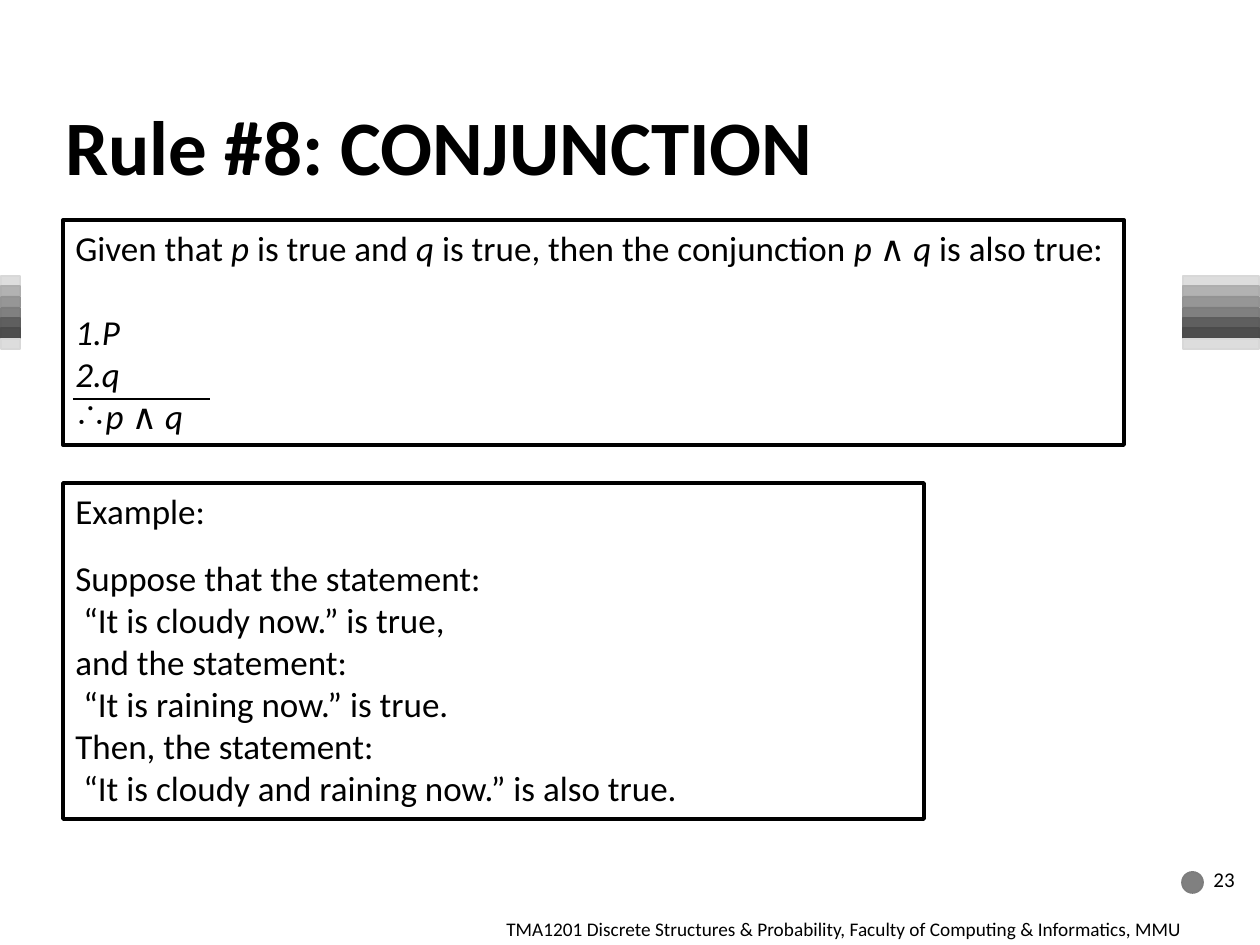
"""Build the slide on the conjunction rule of inference."""
from lxml import etree
from pptx import Presentation
from pptx.dml.color import RGBColor
from pptx.enum.shapes import MSO_CONNECTOR, MSO_SHAPE
from pptx.enum.text import MSO_ANCHOR, PP_ALIGN
from pptx.oxml.ns import qn
from pptx.util import Emu, Pt

RECTANGLE, OVAL = MSO_SHAPE.RECTANGLE, MSO_SHAPE.OVAL
STRAIGHT = MSO_CONNECTOR.STRAIGHT
TOP, MIDDLE = MSO_ANCHOR.TOP, MSO_ANCHOR.MIDDLE
LEFT = PP_ALIGN.LEFT
FONT = "Calibri"
BLACK = "000000"
BLANK_LAYOUT = 6

BANDS = [
    ("DDDDDD", "D8D8D8"),
    ("B2B2B2", "AEAEAE"),
    ("969696", "939393"),
    ("808080", "7D7D7D"),
    ("5F5F5F", "5D5D5D"),
    ("4D4D4D", "4B4B4B"),
    ("DDDDDD", "D8D8D8"),
]
BAND_TOP, BAND_PITCH, BAND_HEIGHT = 276, 10.5, 10

# Each paragraph: text with *italics*, space before in points, bullet.
RULE = [
    ("Given that *p* is true and *q *is true, then the conjunction *p *∧ *q* is also true:", 0, None),
    ("*P*", 24.4, 1),
    ("*q*", 0, 2),
    ("*p *∧ *q*", 0, "∴"),
]
EXAMPLE = [
    ("Example:", 0, None),
    ("Suppose that the statement:", 14.6, None),
    (" “It is cloudy now.” is true,", 0, None),
    ("and the statement:", 0, None),
    (" “It is raining now.” is true.", 0, None),
    ("Then, the statement:", 0, None),
    (" “It is cloudy and raining now.” is also true.", 0, None),
]


def px(length):
    """Turn px into EMU."""
    return Emu(round(length * 914400 / 126))


def color(value):
    """Turn a hex string into a colour."""
    return RGBColor.from_string(value)


def add_bullet(paragraph, bullet):
    """Give a paragraph a number or a bullet character."""
    properties = paragraph._p.get_or_add_pPr()
    if isinstance(bullet, int):
        number = etree.SubElement(properties, qn("a:buAutoNum"), type="arabicPeriod")
        number.set("startAt", str(bullet))
    else:
        etree.SubElement(properties, qn("a:buChar"), char=bullet)


def write(shape, paragraphs, size=20, bold=False, anchor=TOP):
    """Fill a shape with formatted paragraphs."""
    frame = shape.text_frame
    frame.word_wrap = True
    frame.vertical_anchor = anchor
    for index, (text, space_before, bullet) in enumerate(paragraphs):
        paragraph = frame.add_paragraph() if index else frame.paragraphs[0]
        paragraph.alignment = LEFT
        if space_before:
            paragraph.space_before = Pt(space_before)
        if bullet:
            add_bullet(paragraph, bullet)
        for part, words in enumerate(text.split("*")):
            if words:
                run = paragraph.add_run()
                run.text = words
                run.font.name = FONT
                run.font.size = Pt(size)
                run.font.bold = bold
                run.font.italic = part % 2 == 1
                run.font.color.rgb = color(BLACK)


def add_label(slide, box, text, **text_format):
    """Add a one-paragraph text box."""
    label = slide.shapes.add_textbox(*map(px, box))
    write(label, [(text, 0, None)], **text_format)


def add_figure(slide, kind, box, fill=None, line=BLACK, width=1):
    """Add a flat outlined shape."""
    figure = slide.shapes.add_shape(kind, *map(px, box))
    figure.shadow.inherit = False
    if fill:
        figure.fill.solid()
        figure.fill.fore_color.rgb = color(fill)
    else:
        figure.fill.background()
    figure.line.color.rgb = color(line)
    figure.line.width = Pt(width)
    return figure


def add_bands(slide, left, width):
    """Add a stack of grey bands at the slide's edge."""
    for index, (fill, line) in enumerate(BANDS):
        top = BAND_TOP + round(index * BAND_PITCH)
        add_figure(slide, RECTANGLE, (left, top, width, BAND_HEIGHT), fill, line)


def add_rule_line(slide, left, right, y):
    """Add the line between premises and conclusion."""
    line = slide.shapes.add_connector(STRAIGHT, px(left), px(y), px(right), px(y))
    line.line.color.rgb = color(BLACK)
    line.line.width = Pt(1)
    etree.SubElement(line._element.spPr, qn("a:effectLst"))


def main():
    """Build and save the slide."""
    deck = Presentation()
    deck.slide_width, deck.slide_height = px(1260), px(945)
    slide = deck.slides.add_slide(deck.slide_layouts[BLANK_LAYOUT])

    add_bands(slide, 1, 19)
    add_bands(slide, 1183, 76)
    add_figure(slide, OVAL, (1182, 872, 21, 21), "808080", "7D7D7D")

    add_label(slide, (53, 66, 1134, 157), "Rule #8: CONJUNCTION", size=44, bold=True, anchor=MIDDLE)
    add_label(slide, (494, 911, 766, 34),
              "TMA1201 Discrete Structures & Probability, Faculty of Computing & Informatics, MMU", size=11)
    add_label(slide, (1201, 848, 59, 63), "23", size=12, anchor=MIDDLE)

    rule = add_figure(slide, RECTANGLE, (63, 220, 1061, 225), width=2.25)
    write(rule, RULE)
    example = add_figure(slide, RECTANGLE, (63, 483, 861, 336), width=2)
    write(example, EXAMPLE)
    add_rule_line(slide, 73, 210, 399)

    deck.save("out.pptx")


if __name__ == "__main__":
    main()
